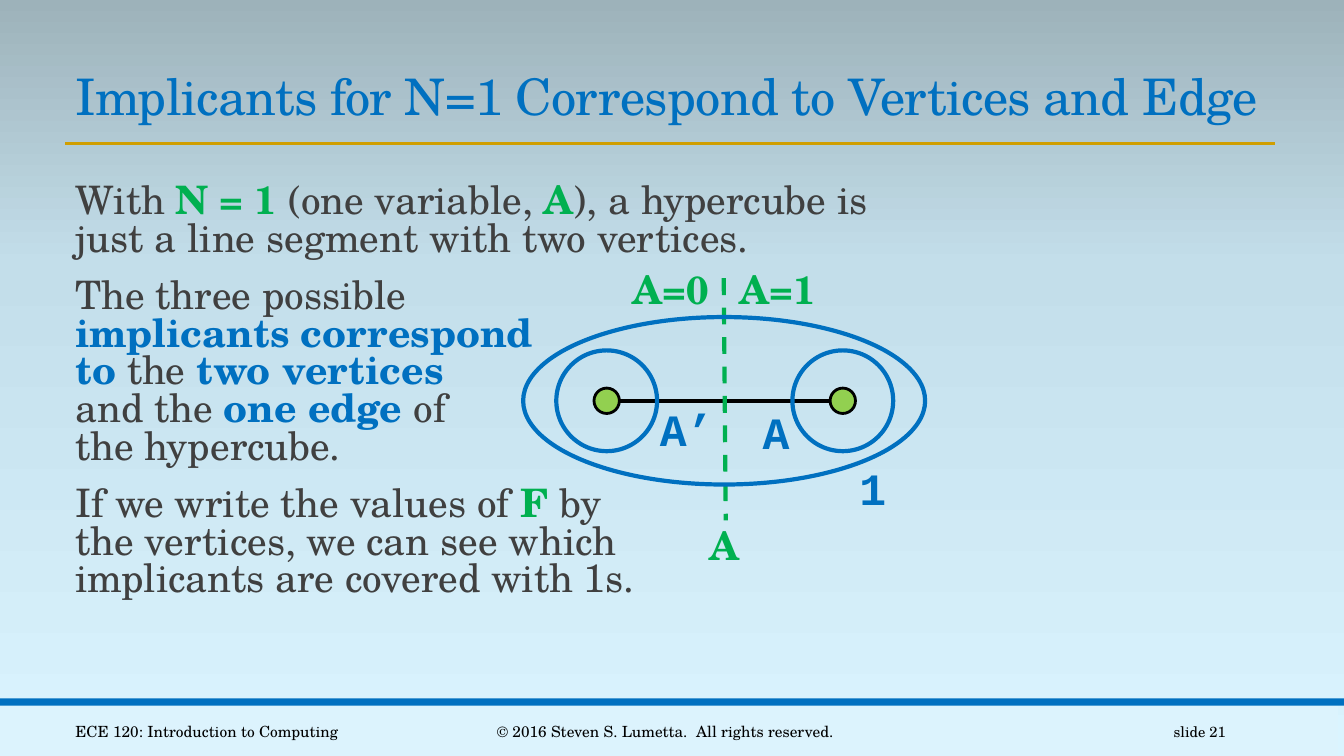
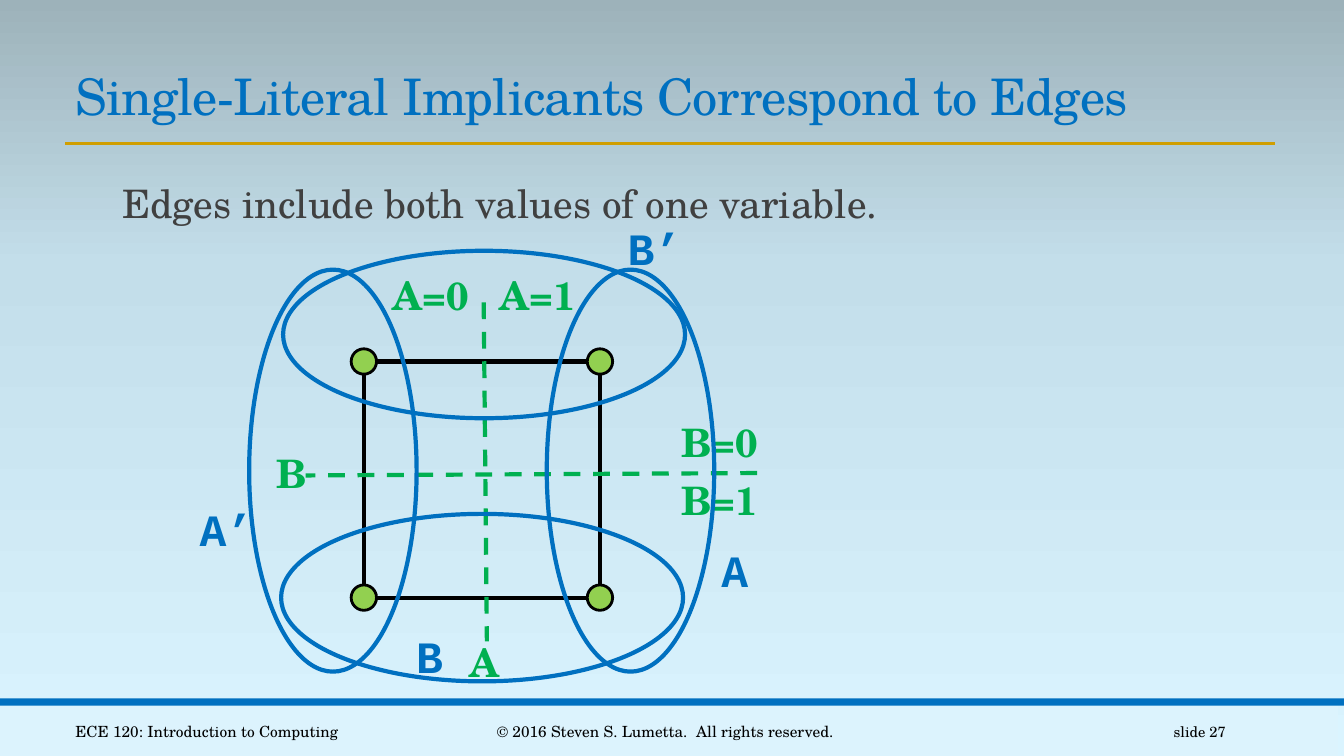
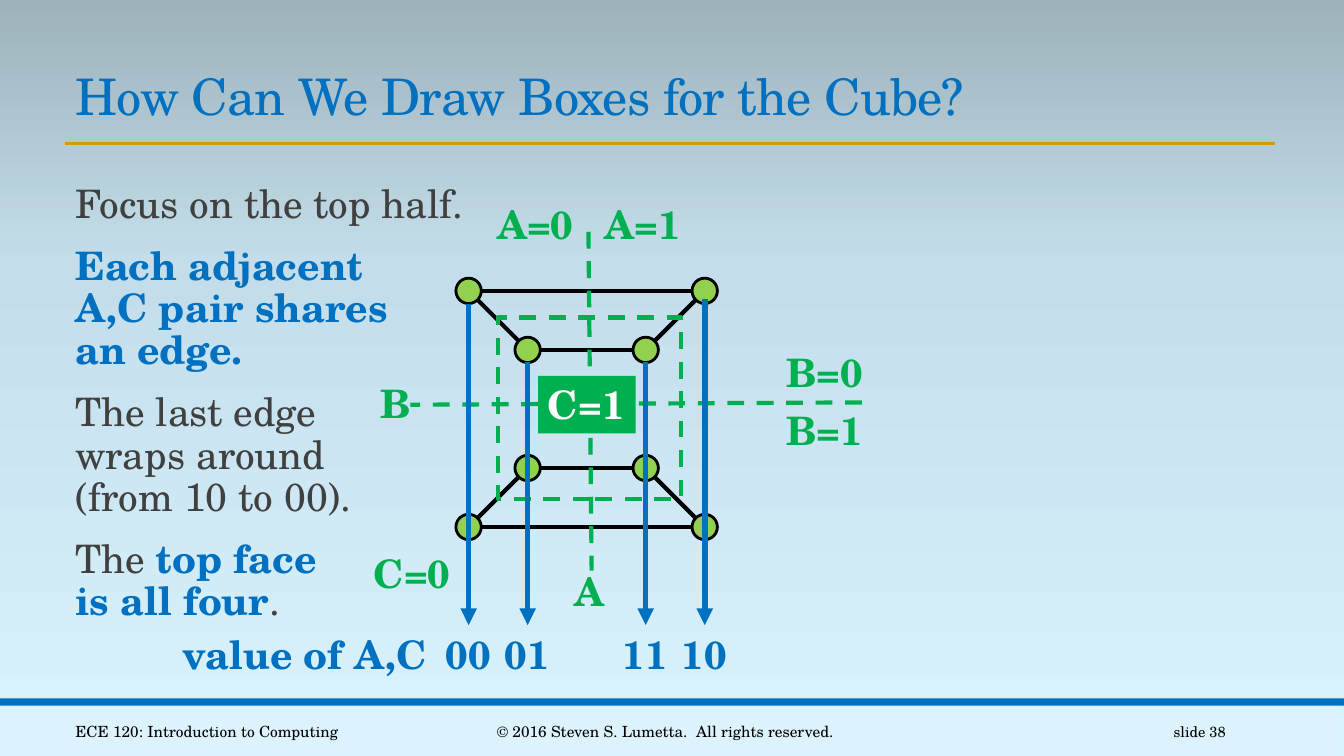
from dataclasses import dataclass
from itertools import product

from lxml.etree import SubElement
from pptx import Presentation
from pptx.dml.color import RGBColor
from pptx.enum.dml import MSO_LINE
from pptx.enum.shapes import MSO_CONNECTOR, MSO_SHAPE
from pptx.enum.text import MSO_ANCHOR, MSO_AUTO_SIZE, PP_ALIGN
from pptx.oxml.ns import qn
from pptx.util import Cm, Pt


@dataclass(frozen=True)
class Theme:
    blue: str = "0070C0"
    green: str = "00B050"
    vertex: str = "92D050"
    gold: str = "D09E00"
    panel: str = "DCF3FD"
    text: str = "404040"
    black: str = "000000"
    white: str = "FFFFFF"
    sky: tuple = ((0, "DAF4FF"), (65, "C3DEEA"), (100, "9DB2BA"))
    serif: str = "TeX Gyre Schola"
    mono: str = "Courier New"
    title_size: float = 36
    body_size: float = 28
    literal_size: float = 32
    footer_size: float = 11
    number_size: float = 10.5


THEME = Theme()

# Content: lengths are centimetres; a run is (text, colour), bold when coloured
BLUE, GREEN, PLAIN = THEME.blue, THEME.green, THEME.text
FOOTERS = [
    ("ECE 120: Introduction to Computing", 1.65, 8.26, PP_ALIGN.LEFT),
    ("© 2016 Steven S. Lumetta.  All rights reserved.", 10.24, 13.06, PP_ALIGN.CENTER),
]
SIDE = 5.95
VERTEX = 0.64
CIRCLE = (2.54, 2.54)
WIDE, TALL = (10.13, 4.22), (4.22, 10.13)
LABEL_WIDTHS = {"A": 1.27, "B": 1.4, "A=0": 2.44, "A=1": 2.44, "value of A,C": 6.71,
                "00": 1.65, "01": 1.65, "11": 1.65, "10": 1.65}

# Axes: dashed line ends and labels, relative to the first vertex
SEGMENT_AXES = [
    ((2.95, -3.09), (3, 3.01),
     [("A=0", 0.41, -3.55), ("A=1", 3.1, -3.55), ("A", 2.34, 2.9)]),
]
SQUARE_AXES = [
    ((3.02, -1.49), (3.1, 7.05),
     [("A=0", 0.48, -2.4), ("A=1", 3.18, -2.4), ("A", 2.41, 6.85)]),
    ((9.91, 2.81), (-1.47, 2.87),
     [("B", -2.46, 2.1), ("B=0", 7.75, 1.31), ("B=1", 7.75, 2.78)]),
]

SEGMENT = {
    "title": "Implicants for N=1 Correspond to Vertices and Edge",
    "number": 21,
    "spacing": 0.8,
    "body": [
        [("With ", PLAIN), ("N = 1", GREEN), (" (one variable, ", PLAIN), ("A", GREEN),
         ("), a hypercube is just a line segment with two vertices.", PLAIN)],
        [("The three possible \n", PLAIN), ("implicants correspond \nto", BLUE),
         (" the ", PLAIN), ("two vertices \n", BLUE), ("and the ", PLAIN),
         ("one edge ", BLUE), ("of \nthe hypercube.", PLAIN)],
        [("If we write the values of ", PLAIN), ("F", GREEN),
         (" by \nthe vertices, we can see which \nimplicants are covered with 1s.", PLAIN)],
    ],
    "origin": (15.29, 10.1),
    # literal, its place, ellipse centre, ellipse size
    "implicants": [
        ("A", (18.97, 10.08), (21.24, 10.1), CIRCLE),
        ("A’", (16.38, 10.01), (15.29, 10.1), CIRCLE),
        ("1", (21.41, 11.48), (18.25, 10.1), WIDE),
    ],
}
SQUARE = {
    "title": "Single-Literal Implicants Correspond to Edges",
    "number": 27,
    "spacing": 0.9,
    "align": PP_ALIGN.CENTER,
    "body": [[("Edges include both values of one variable.", PLAIN)]],
    "origin": (9.17, 9.11),
    "implicants": [
        ("B’", (15.57, 5.44), (12.2, 8.43), WIDE),
        ("A’", (4.78, 12.52), (8.39, 11.86), TALL),
        ("A", (17.93, 13.56), (15.89, 11.86), TALL),
        ("B", (10.24, 15.72), (12.15, 15.06), WIDE),
    ],
}
CUBE = {
    "title": "How Can We Draw Boxes for the Cube?",
    "number": 38,
    "spacing": 0.9,
    "body": [
        [("Focus on the top half.", PLAIN)],
        [("Each adjacent\nA,C pair shares\nan edge.", BLUE)],
        [("The last edge\nwraps around\n(from 10 to 00).", PLAIN)],
        [("The ", PLAIN), ("top face \nis all four", BLUE), (".", PLAIN)],
    ],
    "origin": (11.81, 7.33),
    # value of A,C and the start of its arrow
    "columns": [("00", 7.65), ("01", 9.12), ("11", 9.12), ("10", 7.54)],
    "columns_end": 15.75,
}


def colour(value):
    return RGBColor.from_string(value)


def write(frame, paragraphs, *, size, font=THEME.serif, bold=False, align=PP_ALIGN.LEFT,
          anchor=MSO_ANCHOR.TOP, wrap=True, grow=False, spacing=None, before=0, after=0,
          indent=0, tracking=None):
    """Fill a text frame with paragraphs, each a list of (text, colour) runs."""
    frame.word_wrap = wrap
    frame.auto_size = MSO_AUTO_SIZE.SHAPE_TO_FIT_TEXT if grow else MSO_AUTO_SIZE.NONE
    frame.vertical_anchor = anchor
    for index, runs in enumerate(paragraphs):
        paragraph = frame.add_paragraph() if index else frame.paragraphs[0]
        paragraph.alignment = align
        paragraph.line_spacing = spacing
        paragraph.space_before, paragraph.space_after = Pt(before), Pt(after)
        properties = paragraph._p.get_or_add_pPr()
        properties.set("marL", str(Cm(indent)))
        properties.set("indent", "0")
        SubElement(properties, qn("a:buNone"))
        for text, run_colour in runs:
            for part_index, part in enumerate(text.split("\n")):
                if part_index:
                    paragraph.add_line_break()
                if not part:
                    continue
                run = paragraph.add_run()
                run.text = part
                run.font.name, run.font.size = font, Pt(size)
                run.font.bold = bold or (bool(indent) and run_colour != PLAIN)
                run.font.color.rgb = colour(run_colour)
                if tracking:
                    run.font._element.set("spc", str(tracking))


def add_text(slide, text, left, top, width, height, text_colour, **text_format):
    box = slide.shapes.add_textbox(Cm(left), Cm(top), Cm(width), Cm(height))
    write(box.text_frame, [[(text, text_colour)]], **text_format)
    return box


def add_label(slide, text, left, top, text_colour=GREEN):
    return add_text(slide, text, left, top, LABEL_WIDTHS.get(text, 2.46), 1.45, text_colour,
                    size=THEME.body_size, bold=True, wrap=False, grow=True)


def add_line(slide, start, end, line_colour=THEME.black, width=3, dashed=False, arrow=False):
    connector = slide.shapes.add_connector(
        MSO_CONNECTOR.STRAIGHT, *(Cm(value) for value in (*start, *end)))
    connector.line.color.rgb = colour(line_colour)
    connector.line.width = Pt(width)
    if dashed:
        connector.line.dash_style = MSO_LINE.DASH
    properties = connector.element.spPr
    if arrow:
        SubElement(properties.find(qn("a:ln")), qn("a:tailEnd"), type="triangle")
    SubElement(properties, qn("a:effectLst"))
    return connector


def add_figure(slide, kind, left, top, width, height, fill=None, line=None, weight=3,
               dashed=False):
    shape = slide.shapes.add_shape(kind, Cm(left), Cm(top), Cm(width), Cm(height))
    shape.shadow.inherit = False
    if fill:
        shape.fill.solid()
        shape.fill.fore_color.rgb = colour(fill)
    else:
        shape.fill.background()
    if line:
        shape.line.color.rgb = colour(line)
        shape.line.width = Pt(weight)
        if dashed:
            shape.line.dash_style = MSO_LINE.DASH
    else:
        shape.line.fill.background()
    return shape


def add_ellipse(slide, centre, size, **look):
    left, top = (middle - extent / 2 for middle, extent in zip(centre, size))
    add_figure(slide, MSO_SHAPE.OVAL, left, top, *size, **look)


def add_graph(slide, vertices, edges):
    for start, end in edges:
        add_line(slide, vertices[start], vertices[end])
    for vertex in vertices:
        add_ellipse(slide, vertex, (VERTEX, VERTEX), fill=THEME.vertex, line=THEME.black,
                    weight=2)


def add_square(slide, origin, side):
    """Draw a square graph and return its vertices."""
    left, top = origin
    vertices = list(product((left, left + side), (top, top + side)))
    add_graph(slide, vertices, [(0, 1), (0, 2), (1, 3), (2, 3)])
    return vertices


def add_axes(slide, origin, axes):
    left, top = origin
    for start, end, labels in axes:
        add_line(slide, (left + start[0], top + start[1]), (left + end[0], top + end[1]),
                 GREEN, dashed=True)
        for text, across, down in labels:
            add_label(slide, text, left + across, top + down)


def add_implicants(slide, implicants):
    for literal, place, centre, size in implicants:
        add_ellipse(slide, centre, size, line=BLUE)
        add_text(slide, literal, *place, 1.19 if len(literal) == 1 else 1.88, 1.63, BLUE,
                 size=THEME.literal_size, font=THEME.mono, bold=True, wrap=False, grow=True)


# Diagrams
def draw_segment(slide, content):
    left, top = content["origin"]
    add_graph(slide, [(left, top), (left + SIDE, top)], [(0, 1)])
    add_axes(slide, content["origin"], SEGMENT_AXES)
    add_implicants(slide, content["implicants"])


def draw_square(slide, content):
    add_square(slide, content["origin"], SIDE)
    add_axes(slide, content["origin"], SQUARE_AXES)
    add_implicants(slide, content["implicants"])


def draw_cube(slide, content):
    left, top = content["origin"]
    inset = SIDE / 4
    inner = add_square(slide, (left + inset, top + inset), SIDE / 2)
    outer = add_square(slide, content["origin"], SIDE)
    add_axes(slide, content["origin"], SQUARE_AXES)
    # Diagonals stop at the rims of the vertices
    for (x, y), (inner_x, inner_y) in zip(outer, inner):
        step_x, step_y = ((0.23 if far > near else -0.23)
                          for near, far in ((x, inner_x), (y, inner_y)))
        add_line(slide, (x + step_x, y + step_y), (inner_x - step_x, inner_y - step_y))
    # Border between C=0 and C=1
    add_figure(slide, MSO_SHAPE.RECTANGLE, 12.55, 8, 4.62, 4.57, line=GREEN, dashed=True)
    add_label(slide, "C=0", 9.17, 13.72)
    badge = add_label(slide, "C=1", 13.56, 9.47, THEME.white)
    badge.fill.solid()
    badge.fill.fore_color.rgb = colour(GREEN)
    # Columns of A,C values
    end = content["columns_end"]
    add_label(slide, "value of A,C", 4.34, end, BLUE)
    column_places = sorted({x for x, _ in outer + inner})
    for (text, start), x in zip(content["columns"], column_places):
        add_line(slide, (x, start), (x, end), BLUE, width=4, arrow=True)
        add_label(slide, text, x - LABEL_WIDTHS[text] / 2, end, BLUE)


# Shared look
def set_background(master):
    fill = master.background.fill
    fill.gradient()
    fill.gradient_angle = 90
    stops = next(master.element.iter(qn("a:gsLst")))
    for stop in list(stops):
        stops.remove(stop)
    for position, value in THEME.sky:
        stop = SubElement(stops, qn("a:gs"), pos=str(position * 1000))
        SubElement(stop, qn("a:srgbClr"), val=value)


def place_placeholders(layout):
    places = {0: (1.65, 1.5, 30.5, 1.8), 1: (1.65, 4.52, 21.64, 11.79)}
    for placeholder in layout.placeholders:
        place = places.get(placeholder.placeholder_format.idx)
        if place:
            (placeholder.left, placeholder.top,
             placeholder.width, placeholder.height) = map(Cm, place)


def move_bands_to_layout(slide, layout):
    """Draw the bands through a slide, then hand them to its layout."""
    bands = [
        add_figure(slide, MSO_SHAPE.RECTANGLE, -0.15, 17.78, 33.87, 1.27, fill=THEME.panel),
        add_figure(slide, MSO_SHAPE.RECTANGLE, 0, 17.6, 33.87, 0.18, fill=BLUE),
        add_line(slide, (1.65, 3.61), (32.13, 3.61), THEME.gold, width=2),
    ]
    for band in bands:
        layout.shapes.element.append(band.element)


def add_content(slide, content):
    write(slide.shapes.title.text_frame, [[(content["title"], BLUE)]], size=THEME.title_size,
          anchor=MSO_ANCHOR.BOTTOM, spacing=0.85, tracking=-50)
    frame = slide.placeholders[1].text_frame
    frame.margin_left = frame.margin_right = 0
    write(frame, content["body"], size=THEME.body_size, spacing=content["spacing"],
          align=content.get("align", PP_ALIGN.LEFT), before=12, after=2, indent=0.25)
    number = (f"slide {content['number']}", 27.51, 3.63, PP_ALIGN.RIGHT)
    for text, left, width, align in [*FOOTERS, number]:
        size = THEME.number_size if align == PP_ALIGN.RIGHT else THEME.footer_size
        add_text(slide, text, left, 17.93, width, 1.02, THEME.black, size=size, align=align,
                 anchor=MSO_ANCHOR.MIDDLE)


def main():
    presentation = Presentation()
    presentation.slide_width, presentation.slide_height = Cm(33.87), Cm(19.05)
    layout = presentation.slide_layouts[1]
    set_background(presentation.slide_master)
    place_placeholders(layout)
    diagrams = [(SEGMENT, draw_segment), (SQUARE, draw_square), (CUBE, draw_cube)]
    for index, (content, draw) in enumerate(diagrams):
        slide = presentation.slides.add_slide(layout)
        if index == 0:
            move_bands_to_layout(slide, layout)
        add_content(slide, content)
        draw(slide, content)
    presentation.save("out.pptx")


if __name__ == "__main__":
    main()
